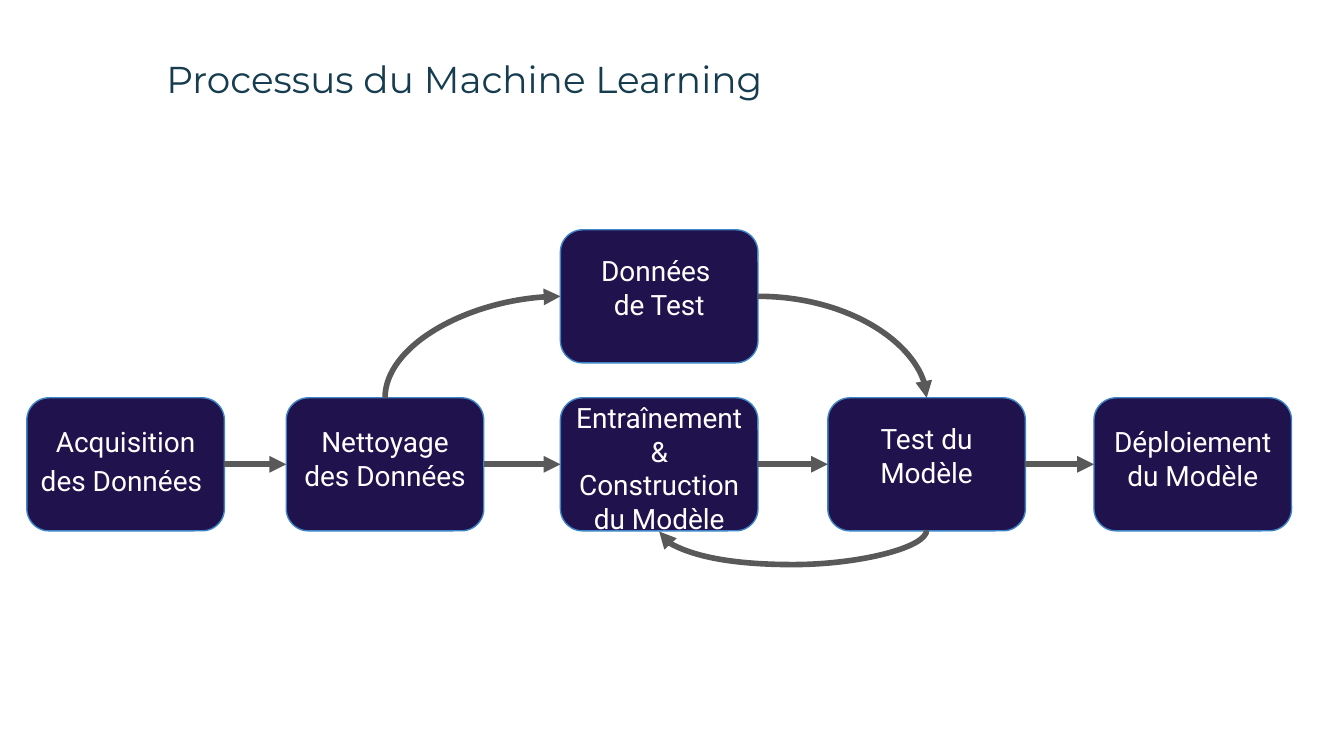
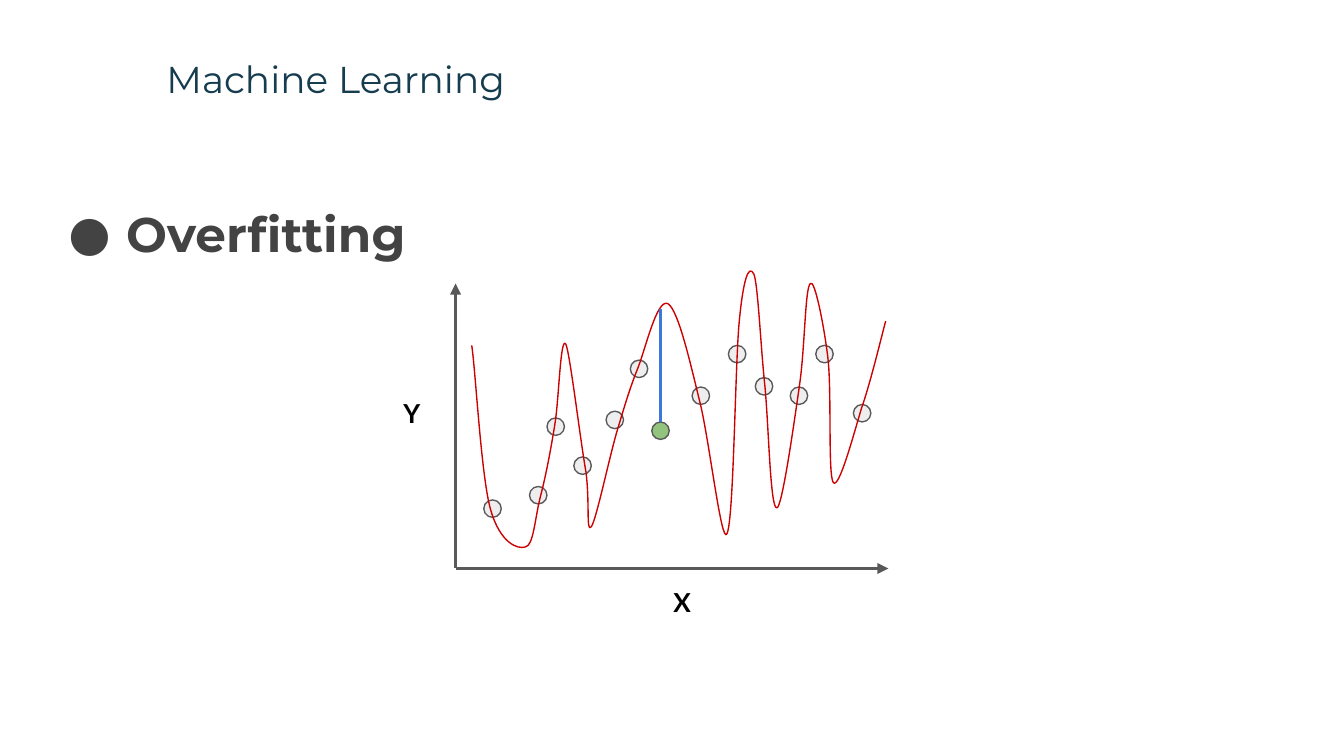
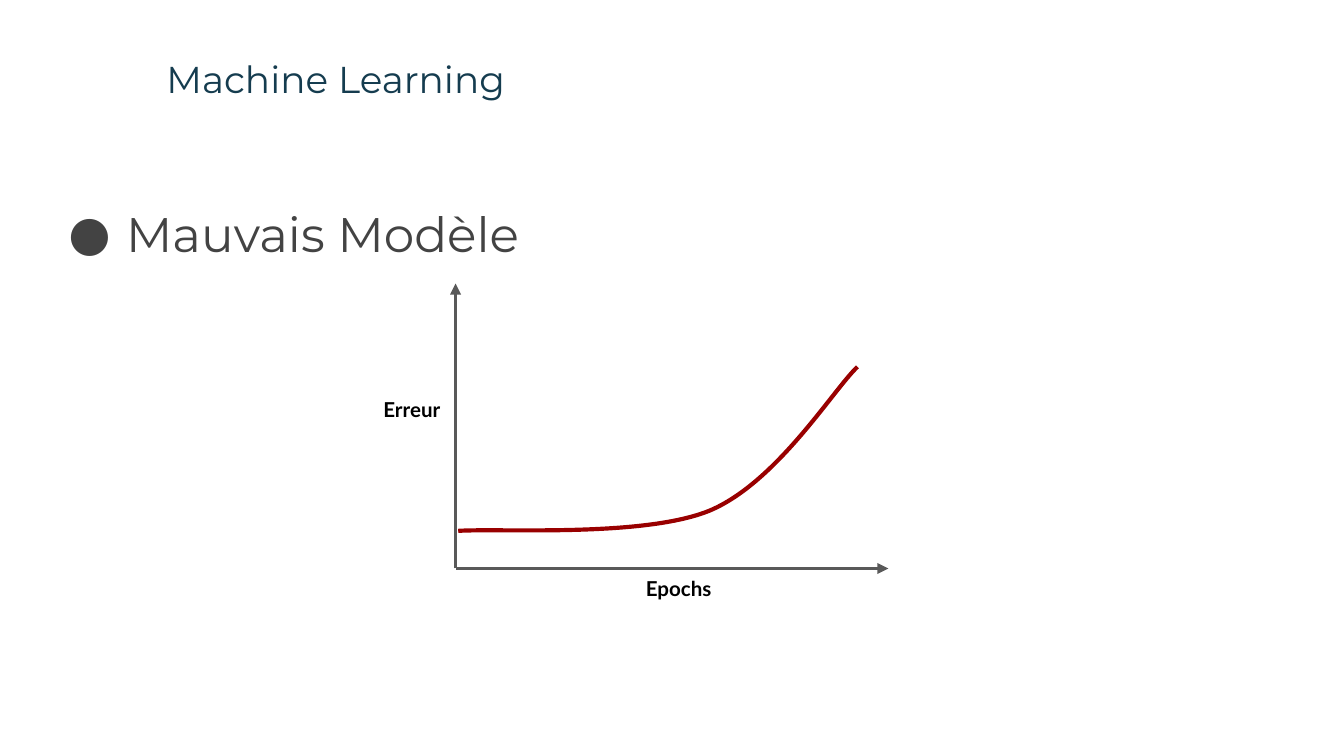
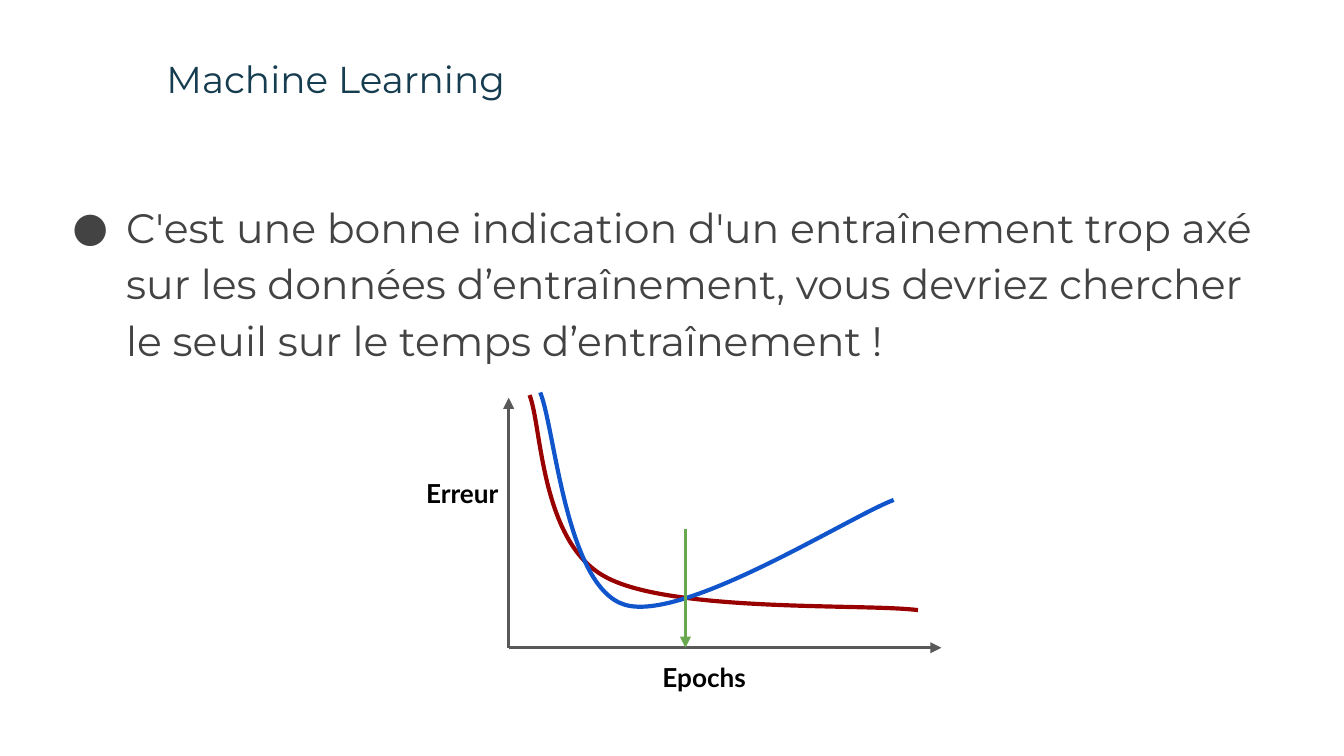
import pptx
import pptx.dml.color
import pptx.enum.shapes
import pptx.enum.text
import pptx.oxml
import pptx.oxml.ns
import pptx.util

RGBColor = pptx.dml.color.RGBColor
WHITE = RGBColor(0xFF, 0xFF, 0xFF)
BLACK = RGBColor(0x00, 0x00, 0x00)
NAVY = RGBColor(0x20, 0x12, 0x4D)
SKY = RGBColor(0x3D, 0x85, 0xC6)
GREY = RGBColor(0x59, 0x59, 0x59)
PALE = RGBColor(0xEE, 0xEE, 0xEE)
TITLE = RGBColor(0x15, 0x3C, 0x4F)
BODY = RGBColor(0x43, 0x43, 0x43)
RED = RGBColor(0xCC, 0x00, 0x00)
DARK_RED = RGBColor(0x99, 0x00, 0x00)
BLUE = RGBColor(0x11, 0x55, 0xCC)
GAP_BLUE = RGBColor(0x3C, 0x78, 0xD8)
GREEN = RGBColor(0x6A, 0xA8, 0x4F)
LEAF = RGBColor(0x93, 0xC4, 0x7D)

SLIDE_W = pptx.util.Inches(10)
SLIDE_H = pptx.util.Inches(5.625)
CELL = SLIDE_W / 100

SHAPES = pptx.enum.shapes.MSO_SHAPE
CONNECTORS = pptx.enum.shapes.MSO_CONNECTOR
CENTER = pptx.enum.text.PP_ALIGN.CENTER
TOP, LEFT, BOTTOM, RIGHT = range(4)

LABEL = {"name": "Roboto", "size": 15, "color": WHITE}
BOX_W, BOX_H = 14.7, 9.9
BOX_TOP, TEST_TOP = 29.6, 17.1
DOT = 1.3

STEPS = {
    "acquisition": (2, BOX_TOP, 30.6, 0, ["Acquisition des Données"]),
    "cleaning": (21.3, BOX_TOP, 30.6, 0, ["Nettoyage des Données"]),
    "training": (41.7, BOX_TOP, 28.8, 0, ["Entraînement &", "Construction du Modèle"]),
    "testing": (61.6, BOX_TOP, 30.4, 0, ["Test du Modèle"]),
    "deployment": (81.4, BOX_TOP, 30.6, 0.5, ["Déploiement du Modèle"]),
    "test_data": (41.7, TEST_TOP, 17.9, 0, ["Données ", "de Test"]),
}

SAMPLES = [
    (39.4, 36.2), (40.7, 31.1), (45.1, 30.6), (46.9, 26.8), (51.5, 28.8), (54.2, 25.7),
    (58.8, 28.8), (56.2, 28.1), (60.7, 25.7), (63.5, 30.1), (42.7, 34), (36, 37.2),
]

OVERFIT = [
    (35.1, 25.7),
    (35.4, 27.7, 35.8, 35.4, 36.5, 37.9), (37.2, 40.4, 38.5, 40.9, 39.1, 40.7),
    (39.7, 40.6, 39.8, 38.6, 40.2, 37), (40.6, 35.5, 41, 33.4, 41.3, 31.5),
    (41.6, 29.6, 41.7, 25, 42.1, 25.6), (42.4, 26.2, 43.2, 32.9, 43.6, 35.1),
    (43.9, 37.4, 43.6, 39.7, 44, 39.2), (44.4, 38.6, 45.4, 33.7, 46, 31.8),
    (46.6, 29.8, 46.9, 28.8, 47.5, 27.3), (48.1, 25.7, 48.9, 22.2, 49.7, 22.6),
    (50.5, 23.1, 51.4, 27.2, 52.1, 30), (52.8, 32.9, 53.7, 40.7, 54.1, 39.7),
    (54.6, 38.7, 54.7, 27.2, 55, 24), (55.3, 20.8, 55.7, 19.6, 56.1, 20.4),
    (56.4, 21.2, 56.6, 25.7, 56.9, 28.6), (57.2, 31.5, 57.3, 37.8, 57.8, 37.8),
    (58.2, 37.8, 59.1, 31.4, 59.5, 28.6), (59.9, 25.8, 59.9, 21.4, 60.3, 21.1),
    (60.6, 20.7, 61.3, 24.1, 61.6, 26.6), (61.9, 29.1, 61.6, 35.3, 62, 35.9),
    (62.4, 36.5, 63.5, 32.4, 64.1, 30.4), (64.8, 28.4, 65.6, 25, 65.9, 23.9),
]
BAD_MODEL = [(34.1, 39.5), (37.2, 39.3, 47.9, 40, 52.8, 38), (57.8, 35.9, 62, 29, 63.8, 27.3)]
TRAIN_ERROR = [(39.4, 29.4), (40.3, 31.6, 40.2, 40.3, 45, 42.9), (49.8, 45.6, 64.4, 44.9, 68.3, 45.4)]
TEST_ERROR = [(40.2, 29.2), (41.3, 31.9, 42.1, 43.7, 46.5, 45), (50.9, 46.3, 63.1, 38.5, 66.5, 37.2)]


def cells(*values):
    return [round(v * CELL) for v in values]


def element(parent, tag, **attrs):
    e = pptx.oxml.parse_xml(f"<a:{tag} {pptx.oxml.ns.nsdecls('a')}/>")
    for name, value in attrs.items():
        e.set(name, str(value))
    parent.append(e)
    return e


def style_line(shape, color, width):
    shape.line.color.rgb = color
    shape.line.width = pptx.util.Pt(width)


def add_run(p, text, style):
    r = p.add_run()
    r.text = text
    for name, value in style.items():
        if name == "color":
            r.font.color.rgb = value
        else:
            setattr(r.font, name, pptx.util.Pt(value) if name == "size" else value)


def add_text(s, box, lines, style, align=None):
    tf = s.shapes.add_textbox(*cells(*box)).text_frame
    tf.word_wrap = True
    for side in ("left", "top", "right", "bottom"):
        setattr(tf, f"margin_{side}", cells(1)[0])
    for i, line in enumerate(lines):
        p = tf.add_paragraph() if i else tf.paragraphs[0]
        p.alignment = align
        add_run(p, line, style)
    return tf.paragraphs[0]


def add_bullet(s, text, size, hang, bold=False):
    style = {"name": "Montserrat", "size": size, "color": BODY, "bold": bold}
    p = add_text(s, (3.4, 13.5, 93.2, 36.5), [text], style)
    pPr = p._p.get_or_add_pPr()
    pPr.set("marL", str(cells(5)[0]))
    pPr.set("indent", str(cells(-hang)[0]))
    element(element(pPr, "buClr"), "srgbClr", val=BODY)
    element(pPr, "buFont", typeface="Montserrat")
    element(pPr, "buChar", char="●")
    p.line_spacing = 1.15


def add_axis_label(s, text, x, y, width, size):
    style = {"name": "Lato", "size": size, "color": BLACK, "bold": True}
    add_text(s, (x, y, width, 4.9), [text], style, CENTER)


def add_preset(s, kind, box, fill, line):
    sp = s.shapes.add_shape(kind, *cells(*box))
    sp.shadow.inherit = False
    sp.fill.solid()
    sp.fill.fore_color.rgb = fill
    style_line(sp, line, 0.75)
    return sp


def add_dot(s, x, y, fill=PALE):
    return add_preset(s, SHAPES.OVAL, (x, y, DOT, DOT), fill, GREY)


def add_line(s, start, end, color=GREY, width=1.5, arrow=True, kind=CONNECTORS.STRAIGHT):
    c = s.shapes.add_connector(kind, *cells(*start, *end))
    style_line(c, color, width)
    if arrow:
        element(c.line._get_or_add_ln(), "tailEnd", type="triangle")
    element(c._element.spPr, "effectLst")
    return c


def join(s, begin, begin_side, end, end_side, kind=CONNECTORS.STRAIGHT):
    c = add_line(s, (0, 0), (1, 1), width=3, kind=kind)
    c.begin_connect(begin, begin_side)
    c.end_connect(end, end_side)
    return c


def join_curved(s, begin, begin_side, end, end_side, turn=0, bulge=None):
    c = join(s, begin, begin_side, end, end_side, CONNECTORS.CURVE)
    mid_x, mid_y = (c.begin_x + c.end_x) // 2, (c.begin_y + c.end_y) // 2
    w, h = abs(c.end_x - c.begin_x), abs(c.end_y - c.begin_y)
    if turn:
        w, h = h, w
    w = max(w, cells(0.1)[0])
    xfrm = c._element.spPr.xfrm
    xfrm.attrib.clear()
    if turn:
        xfrm.set("rot", str(turn * 60000))
    for name, value in {"left": mid_x - w // 2, "top": mid_y - h // 2, "width": w, "height": h}.items():
        setattr(c, name, value)
    geom = c._element.spPr.prstGeom
    if bulge:
        ratio = round(cells(bulge)[0] / w * 100000)
        element(geom.get_or_add_avLst(), "gd", name="adj1", fmla=f"val {ratio}")
    else:
        geom.set("prst", "curvedConnector2")


def add_curve(s, points, color, width):
    start, *segments = points
    builder = s.shapes.build_freeform(*cells(*start))
    builder.add_line_segments([cells(*seg[-2:]) for seg in segments], close=False)
    sp = builder.convert_to_shape()
    sp.shadow.inherit = False
    sp.fill.background()
    style_line(sp, color, width)
    path = sp._element.spPr.find(".//" + pptx.oxml.ns.qn("a:path"))
    for straight in path.findall(pptx.oxml.ns.qn("a:lnTo")):
        path.remove(straight)
    for seg in segments:
        bezier = element(path, "cubicBezTo")
        values = cells(*seg)
        for x, y in zip(values[::2], values[1::2]):
            element(bezier, "pt", x=x - sp.left, y=y - sp.top)


def add_axes(s, x, y, height, width=32.2):
    add_line(s, (x, y), (x, y - height))
    add_line(s, (x, y), (x + width, y))


def new_slide(prs):
    return prs.slides.add_slide(prs.slide_layouts[6])


def add_title(s, text="Machine Learning"):
    add_text(s, (11.4, 3.2, 85.2, 6.3), [text], {"name": "Montserrat", "size": 20, "color": TITLE})


def process_slide(prs):
    s = new_slide(prs)
    boxes = {
        name: add_preset(s, SHAPES.ROUNDED_RECTANGLE, (x, y, BOX_W, BOX_H), NAVY, SKY)
        for name, (x, y, *_) in STEPS.items()
    }
    chain = list(boxes.values())[:5]
    for begin, end in zip(chain, chain[1:]):
        join(s, begin, RIGHT, end, LEFT)
    join_curved(s, boxes["testing"], BOTTOM, boxes["training"], BOTTOM, turn=90, bulge=2.6)
    join_curved(s, boxes["cleaning"], TOP, boxes["test_data"], LEFT, turn=270)
    join_curved(s, boxes["test_data"], RIGHT, boxes["testing"], TOP)
    for name, (x, _, label_y, extra, lines) in STEPS.items():
        p = add_text(s, (x - extra, label_y, BOX_W + 2 * extra, 6.6), lines, LABEL, CENTER)
        if name == "acquisition":
            add_run(p, " ", {**LABEL, "size": 18})
    add_title(s, "Processus du Machine Learning")


def overfitting_slide(prs):
    s = new_slide(prs)
    add_bullet(s, "Overfitting", 26, 4.3, bold=True)
    add_axes(s, 33.9, 42.3, 21.2)
    for x, y in SAMPLES:
        add_dot(s, x, y)
    add_curve(s, OVERFIT, RED, 0.75)
    add_axis_label(s, "Y", 27.1, 28.6, 7.1, 14)
    add_axis_label(s, "X", 47.2, 42.6, 7.1, 14)
    new_point = add_dot(s, 48.5, 31.4, LEAF)
    gap = add_line(s, (49.15, 31.4), (49.15, 23), GAP_BLUE, arrow=False)
    gap.begin_connect(new_point, TOP)
    add_title(s)


def bad_model_slide(prs):
    s = new_slide(prs)
    add_bullet(s, "Mauvais Modèle", 26, 4.3)
    add_axes(s, 33.9, 42.3, 21.2)
    add_axis_label(s, "Erreur", 27.1, 28.6, 7.1, 11)
    add_axis_label(s, "Epochs", 46, 41.9, 9, 11)
    add_curve(s, BAD_MODEL, DARK_RED, 2.25)
    add_title(s)


def threshold_slide(prs):
    s = new_slide(prs)
    add_bullet(
        s,
        "C'est une bonne indication d'un entraînement trop axé sur les données "
        "d’entraînement, vous devriez chercher le seuil sur le temps d’entraînement !",
        22, 4,
    )
    add_axes(s, 37.85, 48.2, 18.6)
    add_axis_label(s, "Epochs", 47.9, 48.2, 9, 14)
    add_axis_label(s, "Erreur", 29.9, 34.5, 9, 14)
    add_curve(s, TRAIN_ERROR, DARK_RED, 2.25)
    add_curve(s, TEST_ERROR, BLUE, 2.25)
    add_line(s, (51, 39.4), (51, 48.2), GREEN)
    add_title(s)


def main():
    prs = pptx.Presentation()
    prs.slide_width, prs.slide_height = SLIDE_W, SLIDE_H
    for build in (process_slide, overfitting_slide, bad_model_slide, threshold_slide):
        build(prs)
    prs.save("out.pptx")


if __name__ == "__main__":
    main()
